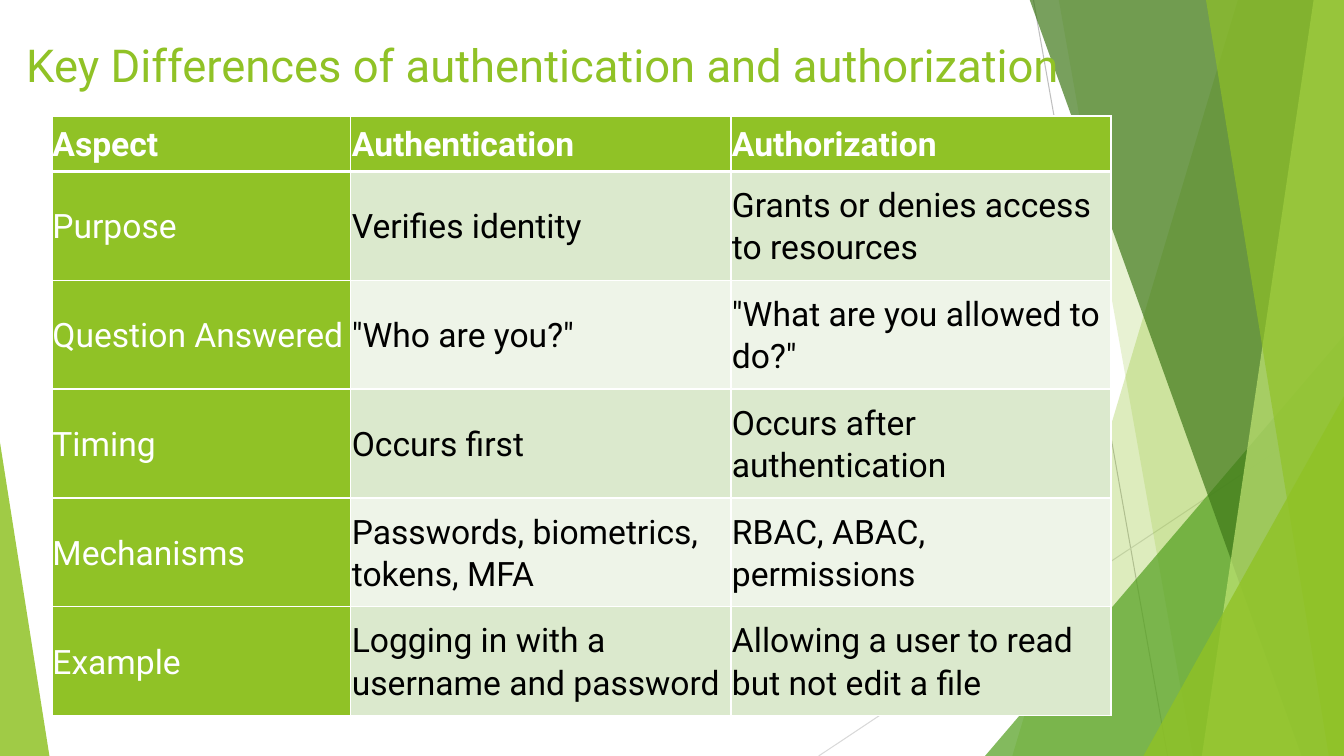
import pptx
import pptx.util
import pptx.dml.color
import pptx.enum.shapes
import pptx.enum.text
import pptx.oxml
import pptx.oxml.ns

Inches, Pt = pptx.util.Inches, pptx.util.Pt
RGBColor = pptx.dml.color.RGBColor
ANCHOR = pptx.enum.text.MSO_ANCHOR
qn = pptx.oxml.ns.qn

# Content
TITLE = "Key Differences of authentication and authorization"
ROWS = [
    ("Aspect", "Authentication", "Authorization"),
    ("Purpose", "Verifies identity", "Grants or denies access to resources"),
    ("Question Answered", '"Who are you?"', '"What are you allowed to do?"'),
    ("Timing", "Occurs first", "Occurs after authentication"),
    ("Mechanisms", "Passwords, biometrics, tokens, MFA", "RBAC, ABAC, permissions"),
    ("Example", "Logging in with a username and password",
     "Allowing a user to read but not edit a file"),
]

# Colours and sizes
WHITE = RGBColor(0xFF, 0xFF, 0xFF)
BLACK = RGBColor(0x00, 0x00, 0x00)
LIME = RGBColor(0x90, 0xC2, 0x26)
GREEN = RGBColor(0x54, 0xA0, 0x21)
DARK_GREEN = RGBColor(0x3F, 0x78, 0x19)
PALE_LIME = RGBColor(0xC0, 0xE4, 0x74)
BAND_DARK = RGBColor(0xDB, 0xE9, 0xCD)
BAND_LIGHT = RGBColor(0xEE, 0xF4, 0xE8)
GREY = RGBColor(0xBF, 0xBF, 0xBF)
LIGHT_GREY = RGBColor(0xD9, 0xD9, 0xD9)
FONT = "Roboto"
WIDTH, HEIGHT, TOP = 13.33, 7.5, -0.01
COLUMN_WIDTHS = (2.96, 3.77, 3.77)
HEADER_HEIGHT, ROW_HEIGHT = 0.55, 1.08

# Decoration, back to front
LINES = [
    ((10.25, 0), (11.58, HEIGHT), GREY),
    ((WIDTH, 4.03), (8.12, HEIGHT), LIGHT_GREY),
]
# Shards reach the right edge: (kind, geometry, colour, opacity in percent)
# a shard gives its top and bottom left x; a triangle gives its box and apex
DECORATION = [
    ("shard", (12.28, 10.04), LIME, 30),
    ("shard", (10.5, 11.83), LIME, 20),
    ("triangle", (9.77, 3.33, 3.56, 4.17, 1), GREEN, 72),
    ("shard", (10.21, 12.91), DARK_GREEN, 70),
    ("shard", (13.03, 11.92), PALE_LIME, 70),
    ("shard", (11.96, 13.18), LIME, 65),
    ("triangle", (11.34, 3.93, 1.99, 3.57, 1), LIME, 80),
    ("triangle", (0, 4.39, 0.49, 3.11, 0), LIME, 85),
]


def apply_format(target, values):
    for name, value in values.items():
        setattr(target, name, value)


def add_line(shapes, start, end, color):
    connector = shapes.add_connector(
        pptx.enum.shapes.MSO_CONNECTOR.STRAIGHT, *map(Inches, start + end))
    connector.line.color.rgb = color
    connector.line.width = Pt(0.75)
    pptx.oxml.ns  # namespace map used by qn
    connector.element.spPr.append(pptx.oxml.parse_xml(
        "<a:effectLst %s/>" % pptx.oxml.ns.nsdecls("a")))


def add_decoration(shapes, kind, geometry, color, opacity):
    if kind == "shard":
        top_x, bottom_x = geometry
        builder = shapes.build_freeform(Inches(top_x), Inches(TOP))
        corners = [(WIDTH, TOP), (WIDTH, HEIGHT), (bottom_x, HEIGHT)]
        builder.add_line_segments([(Inches(x), Inches(y)) for x, y in corners])
        shape = builder.convert_to_shape()
    else:
        *box, apex = geometry
        shape = shapes.add_shape(
            pptx.enum.shapes.MSO_SHAPE.ISOSCELES_TRIANGLE, *map(Inches, box))
        shape.adjustments[0] = apex
    shape.shadow.inherit = False
    shape.line.fill.background()
    shape.fill.solid()
    shape.fill.fore_color.rgb = color
    fill_color = shape.element.spPr.find(qn("a:solidFill"))[0]
    fill_color.append(pptx.oxml.parse_xml(
        '<a:alpha %s val="%d"/>' % (pptx.oxml.ns.nsdecls("a"), opacity * 1000)))


def set_borders(cell, widths):
    properties = cell.fill and cell._tc.get_or_add_tcPr()
    for index, (side, width) in enumerate(widths.items()):
        properties.insert(index, pptx.oxml.parse_xml(
            '<a:ln%s %s w="%d"><a:solidFill><a:srgbClr val="%s"/></a:solidFill></a:ln%s>'
            % (side, pptx.oxml.ns.nsdecls("a"), Pt(width), WHITE, side)))


def fill_cell(cell, text, row, column):
    is_label = row == 0 or column == 0
    band = BAND_DARK if row % 2 else BAND_LIGHT
    cell.fill.solid()
    cell.fill.fore_color.rgb = LIME if is_label else band
    inset = Inches(0.01)
    apply_format(cell, {
        "text": text, "vertical_anchor": ANCHOR.MIDDLE,
        "margin_left": inset if column else 0, "margin_right": inset,
        "margin_top": inset, "margin_bottom": inset})
    paragraph = cell.text_frame.paragraphs[0]
    apply_format(paragraph, {"line_spacing": 1.07, "space_after": Pt(8)})
    font = paragraph.runs[0].font
    apply_format(font, {"name": FONT, "size": Pt(24), "bold": row == 0})
    font.color.rgb = WHITE if is_label else BLACK
    set_borders(cell, {"L": 1, "R": 1, "T": 3 if row == 1 else 1,
                       "B": 3 if row == 0 else 1})


def main():
    presentation = pptx.Presentation()
    presentation.slide_width = Inches(WIDTH)
    presentation.slide_height = Inches(HEIGHT)
    slide = presentation.slides.add_slide(presentation.slide_layouts[5])
    shapes = slide.shapes

    # Background lines and shards
    for line in LINES:
        add_line(shapes, *line)
    for part in DECORATION:
        add_decoration(shapes, *part)

    # Title, brought in front of the decoration
    title = shapes.title
    apply_format(title, {"left": Inches(0.16), "top": Inches(0.29),
                         "width": Inches(11.62), "height": Inches(0.77)})
    title.element.getparent().append(title.element)
    apply_format(title.text_frame, {
        "text": TITLE, "word_wrap": True, "vertical_anchor": ANCHOR.MIDDLE,
        "auto_size": pptx.enum.text.MSO_AUTO_SIZE.NONE})
    paragraph = title.text_frame.paragraphs[0]
    apply_format(paragraph, {"alignment": pptx.enum.text.PP_ALIGN.LEFT,
                             "line_spacing": 0.9})
    font = paragraph.runs[0].font
    apply_format(font, {"name": FONT, "size": Pt(32.4)})
    font.color.rgb = LIME

    # Comparison table
    heights = [HEADER_HEIGHT] + [ROW_HEIGHT] * (len(ROWS) - 1)
    table = shapes.add_table(
        len(ROWS), len(COLUMN_WIDTHS), Inches(0.52), Inches(1.15),
        Inches(sum(COLUMN_WIDTHS)), Inches(sum(heights))).table
    for column, width in zip(table.columns, COLUMN_WIDTHS):
        column.width = Inches(width)
    for row, height in zip(table.rows, heights):
        row.height = Inches(height)
    for row, texts in enumerate(ROWS):
        for column, text in enumerate(texts):
            fill_cell(table.cell(row, column), text, row, column)

    presentation.save("out.pptx")


if __name__ == "__main__":
    main()
